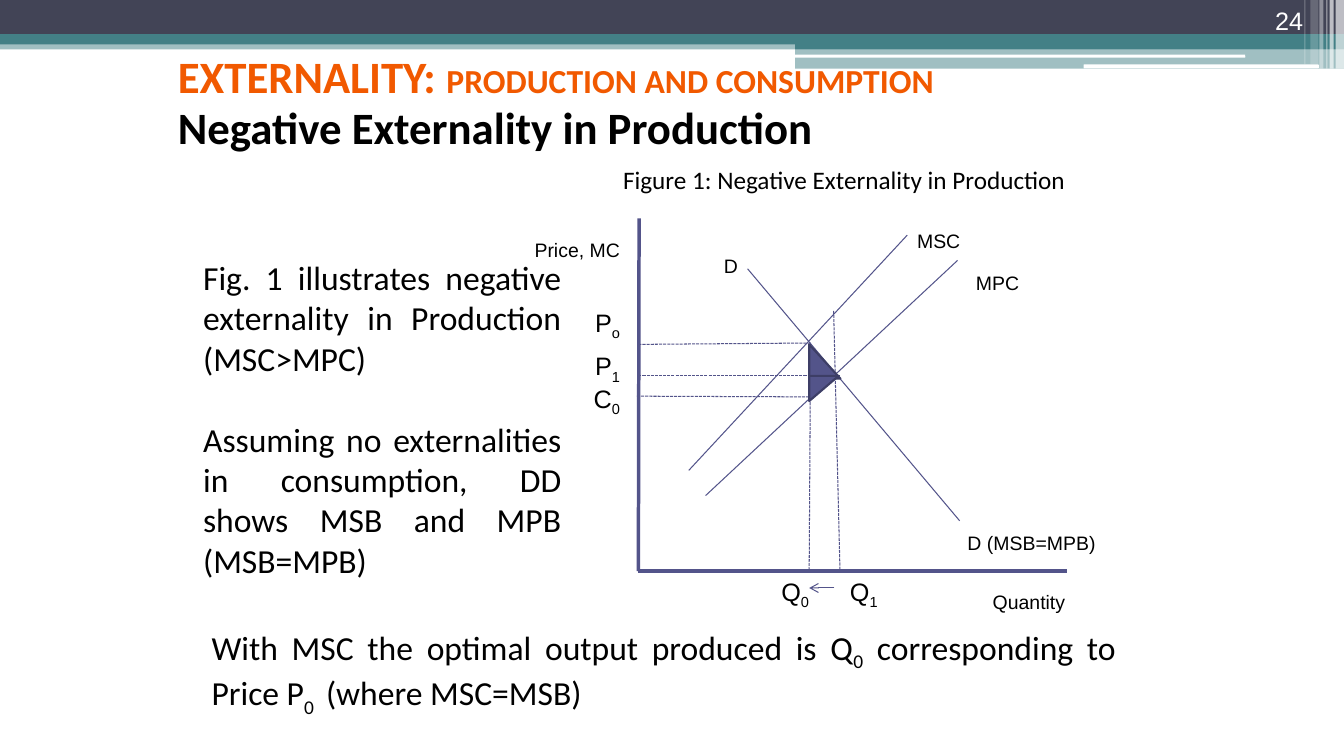
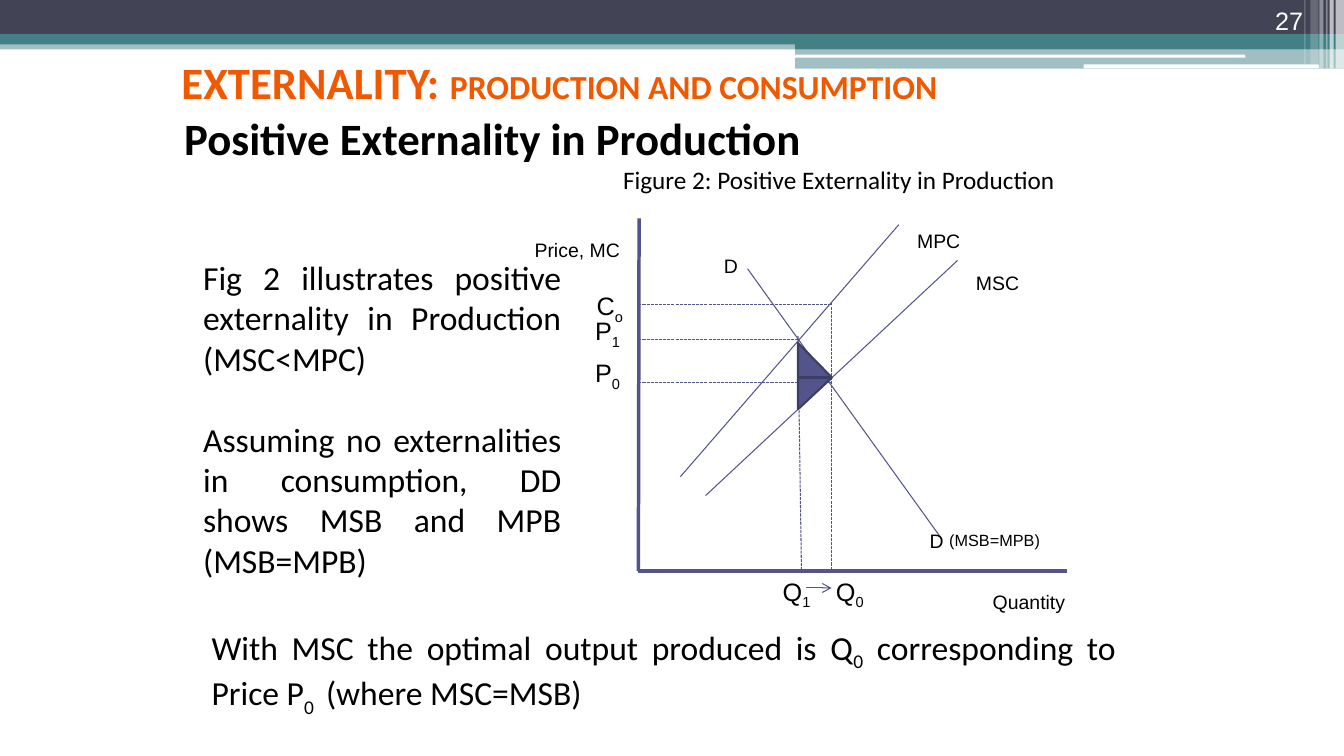
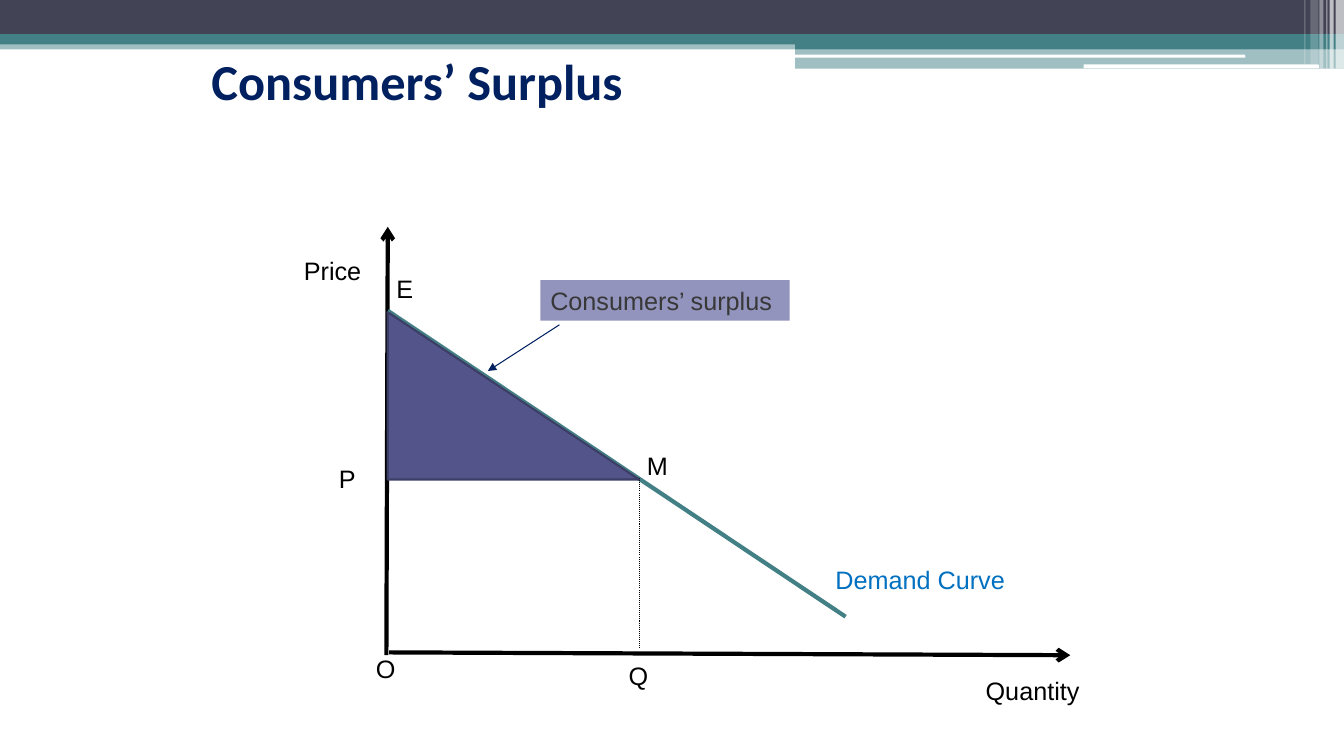
from lxml import etree
from pptx import Presentation
from pptx.dml.color import RGBColor
from pptx.enum import dml, shapes, text
from pptx.oxml import ns
from pptx.util import Pt

COLORS = {
    "navy": "424456", "teal": "438086", "white": "FFFFFF", "black": "000000",
    "orange": "F15900", "indigo": "53548A", "edge": "3D3E66", "lilac": "9394BE",
    "ink": "002060", "blue": "0070C0", "gray": "383838",
}
RECT = shapes.MSO_SHAPE.RECTANGLE
ROUND = shapes.MSO_SHAPE.ROUNDED_RECTANGLE
TRIANGLE = shapes.MSO_SHAPE.RIGHT_TRIANGLE
LEFT, RIGHT, JUSTIFY = text.PP_ALIGN.LEFT, text.PP_ALIGN.RIGHT, text.PP_ALIGN.JUSTIFY
TOP, MIDDLE, BOTTOM = (text.MSO_ANCHOR.TOP, text.MSO_ANCHOR.MIDDLE,
                       text.MSO_ANCHOR.BOTTOM)
DASH, DOT = dml.MSO_LINE.SQUARE_DOT, dml.MSO_LINE.ROUND_DOT

BANDS = [
    (RECT, (0, 28.8, 960, 6.5), "teal", 50),
    (RECT, (0, 0, 960, 24.5), "navy", 100),
    (RECT, (0, 24.5, 960, 7.2), "teal", 100),
    (RECT, (568, 28, 392, 7.2), "teal", 100),
    (RECT, (568, 34.8, 392, 14.2), "teal", 50),
    (ROUND, (567.5, 39, 322, 2.2), "white", 100),
    (ROUND, (774, 46, 168, 2.9), "white", 100),
    (RECT, (954, 0, 6, 49), "white", 65),
    (RECT, (949.7, 0, 2.9, 49), "white", 65),
    (RECT, (947.5, 0, 0.72, 49), "white", 60),
    (RECT, (942.5, 0, 2.9, 49), "white", 40),
    (RECT, (936, 0, 5.8, 46), "white", 20),
    (RECT, (931.7, 0, 0.72, 46), "white", 30),
]

HEADING = [("EXTERNALITY: ", 32), ("PRODUCTION AND CONSUMPTION", 24)]
ASSUMPTION = "Assuming no externalities in consumption, DD shows MSB and MPB (MSB=MPB)"
CONCLUSION = ("With MSC the optimal output produced is Q~0~ corresponding to "
              "Price P~0 ~ (where MSC=MSB)")
AXES = [((456.5, 156), (456, 408)), ((456, 408), (762, 408))]
LOWER_COST = ((504, 354), (684, 186))

EXTERNALITIES = [
    {
        "number": "24",
        "heading": (120, 30, 702, 48),
        "subtitle": ("Negative Externality in Production", (120, 68, 695, 46)),
        "caption": "Figure 1: Negative Externality in Production",
        "body": "Fig. 1 illustrates negative externality in Production (MSC>MPC)",
        "curves": [((534, 192), (685.5, 372)), ((492, 336), (648, 168)), LOWER_COST],
        "guides": [((456, 246), (579.6, 245)), ((456, 268), (600, 268)),
                   ((579, 246), (578, 408)), ((455, 283), (581, 283.5)),
                   ((595.5, 222), (600, 407))],
        "costs": ("~MSC", "~MPC"),
        "demand": ([("~D (MSB=MPB)", 24)], (684, 360, 130, 27)),
        "prices": [("P~o", 450, 216), ("P~1", 450, 247), ("C~0", 450, 270)],
        "outputs": [("Q~1", 634, 408), ("Q~0", 585, 408)],
        "shift": ((596, 420), (578, 420)),
        "loss": [((578, 246, 22.3, 24.5), False), ((578, 268.5, 21, 18), True)],
    },
    {
        "number": "27",
        "heading": (122.5, 34, 702, 48),
        "subtitle": ("Positive Externality in Production", (124.5, 75.5, 572, 68)),
        "caption": "Figure 2: Positive Externality in Production",
        "body": "Fig 2 illustrates positive externality in Production (MSC<MPC)",
        "curves": [((534, 192), (672, 384)), ((486, 340.5), (642, 160.5)), LOWER_COST],
        "guides": [((570, 240), (572.5, 408)), ((594, 216), (594, 408)),
                   ((456, 273.5), (594, 273.5)), ((456, 242.5), (570, 242.5)),
                   ((456, 217.5), (594, 217.5))],
        "costs": ("~MPC", "~MSC"),
        "demand": ([("~D ", 24), ("~(MSB=MPB)", 20)], (657, 358, 147, 41)),
        "prices": [("C~o", 452, 204), ("P~1", 450, 222), ("P~0", 450, 252)],
        "outputs": [("Q~0", 624, 408), ("Q~1", 586, 408)],
        "shift": ((576, 420), (594, 420)),
        "loss": [((570, 245, 24, 24.5), False), ((570, 270, 24, 22.3), True)],
    },
]

SURPLUS_LINES = [
    ((276, 468), (277, 162), "black", 3, None, "arrow"),
    ((278, 466), (764.5, 468), "black", 3, None, "arrow"),
    ((277, 222), (604, 440.5), "teal", 3, None, None),
    ((456, 341.5), (276, 342), "black", 0.75, None, None),
    ((456.5, 341.5), (456.5, 463), "black", 0.75, DOT, None),
    ((399.6, 232), (348.5, 265), "ink", 0.75, None, "triangle"),
]
SURPLUS_LABELS = [
    ("Quantity", (697, 479, 202, 29), "black"),
    ("Price", (210, 178.5, 132, 29), "black"),
    ("Demand Curve", (589.7, 399.6, 194, 29), "blue"),
    ("Q", (442, 468, 36, 29), "black"),
    ("P", (235, 327.6, 26, 29), "black"),
    ("M", (455, 318, 34, 29), "black"),
    ("E", (276, 192, 27, 29), "black"),
    ("O", (261.4, 463, 33, 29), "black"),
]


def rgb(name):
    return RGBColor.from_string(COLORS[name])


def add_runs(p, pieces, font, color, bold):
    for content, size in pieces:
        for i, part in enumerate(content.split("~")):
            if not part:
                continue
            r = p.add_run()
            r.text = part
            r.font.name, r.font.size, r.font.bold = font, Pt(size), bold
            r.font.color.rgb = rgb(color)
            if i % 2:
                r.font._element.set("baseline", "-25000")


def add_text(s, paragraphs, box, size=18, font="Arial", color="black", bold=False,
             align=LEFT, anchor=TOP, gap=0, sp=None):
    sp = sp or s.shapes.add_textbox(*map(Pt, box))
    tf = sp.text_frame
    tf.word_wrap = True
    tf.vertical_anchor = anchor
    if isinstance(paragraphs, str):
        paragraphs = [paragraphs]
    for i, content in enumerate(paragraphs):
        p = tf.add_paragraph() if i else tf.paragraphs[0]
        p.alignment = align
        if i:
            p.space_before = Pt(gap)
        pieces = [(content, size)] if isinstance(content, str) else content
        add_runs(p, pieces, font, color, bold)


def add_box(s, kind, box, fill, alpha=100, edge=None, flip=False):
    sp = s.shapes.add_shape(kind, *map(Pt, box))
    sp.shadow.inherit = False
    sp.fill.solid()
    sp.fill.fore_color.rgb = rgb(fill)
    if alpha < 100:
        clr = sp._element.spPr.find(".//" + ns.qn("a:srgbClr"))
        etree.SubElement(clr, ns.qn("a:alpha")).set("val", str(alpha * 1000))
    if edge:
        sp.line.color.rgb = rgb(edge)
        sp.line.width = Pt(1.5)
    else:
        sp.line.fill.background()
    if flip:
        sp._element.spPr.xfrm.set("flipV", "1")
    return sp


def add_line(s, start, end, color="indigo", width=0.75, dash=None, arrow=None):
    line = s.shapes.add_connector(shapes.MSO_CONNECTOR.STRAIGHT,
                                  *map(Pt, start + end))
    line.line.color.rgb = rgb(color)
    line.line.width = Pt(width)
    if dash:
        line.line.dash_style = dash
    spPr = line._element.spPr
    if arrow:
        etree.SubElement(spPr.find(ns.qn("a:ln")), ns.qn("a:tailEnd")).set("type", arrow)
    etree.SubElement(spPr, ns.qn("a:effectLst"))


def add_slide(prs, number=None):
    s = prs.slides.add_slide(prs.slide_layouts[6])
    for kind, box, fill, alpha in BANDS:
        add_box(s, kind, box, fill, alpha)
    if number:
        add_text(s, number, (858, 0, 80, 29), color="white", align=RIGHT, anchor=BOTTOM)
    return s


def externality_slide(prs, data):
    s = add_slide(prs, data["number"])
    add_text(s, [HEADING], data["heading"], font="Calibri", color="orange",
             bold=True, anchor=MIDDLE)
    subtitle, box = data["subtitle"]
    add_text(s, subtitle, box, 32, "Calibri", bold=True)

    for start, end in AXES:
        add_line(s, start, end, width=2.5)
    for start, end in data["curves"]:
        add_line(s, start, end)
    for start, end in data["guides"]:
        add_line(s, start, end, dash=DASH)
    add_line(s, *data["shift"], arrow="arrow")
    for box, flip in data["loss"]:
        add_box(s, TRIANGLE, box, "indigo", edge="edge", flip=flip)

    upper, lower = data["costs"]
    for label, box, align in [
        ("~Quantity", (690, 402, 78, 27), RIGHT),
        ("~Price, MC", (336, 150, 114, 27), RIGHT),
        (upper, (648, 144, 78, 27), LEFT),
        (lower, (690, 174, 78, 27), LEFT),
        ("~D", (510, 162, 24, 27), LEFT),
    ]:
        add_text(s, label, box, 24, align=align)
    pieces, box = data["demand"]
    add_text(s, [pieces], box)
    for label, right, top in data["prices"] + data["outputs"]:
        add_text(s, label, (right - 42, top, 42, 29), align=RIGHT)

    add_text(s, data["caption"], (438, 114, 366, 29), 18, "Calibri", align=JUSTIFY)
    add_text(s, [data["body"], ASSUMPTION], (138, 180, 270, 269), 24, "Calibri",
             align=JUSTIFY, gap=29)
    add_text(s, CONCLUSION, (144, 444, 660, 66), 24, "Calibri", align=JUSTIFY)


def surplus_slide(prs):
    s = add_slide(prs)
    add_text(s, "Consumers’ Surplus", (144, 37.5, 642, 40), 36, "Calibri", "ink",
             bold=True, anchor=MIDDLE)
    for start, end, color, width, dash, arrow in SURPLUS_LINES:
        add_line(s, start, end, color, width, dash, arrow)
    add_box(s, TRIANGLE, (277, 223, 179.5, 119.5), "indigo", edge="edge")
    for label, box, color in SURPLUS_LABELS:
        add_text(s, label, box, color=color)
    box = (386, 200, 178, 29)
    add_text(s, "Consumers’ surplus", box, color="gray",
             sp=add_box(s, RECT, box, "lilac"))


def main():
    prs = Presentation()
    prs.slide_width, prs.slide_height = Pt(960), Pt(540)
    for data in EXTERNALITIES:
        externality_slide(prs, data)
    surplus_slide(prs)
    prs.save("out.pptx")


if __name__ == "__main__":
    main()
